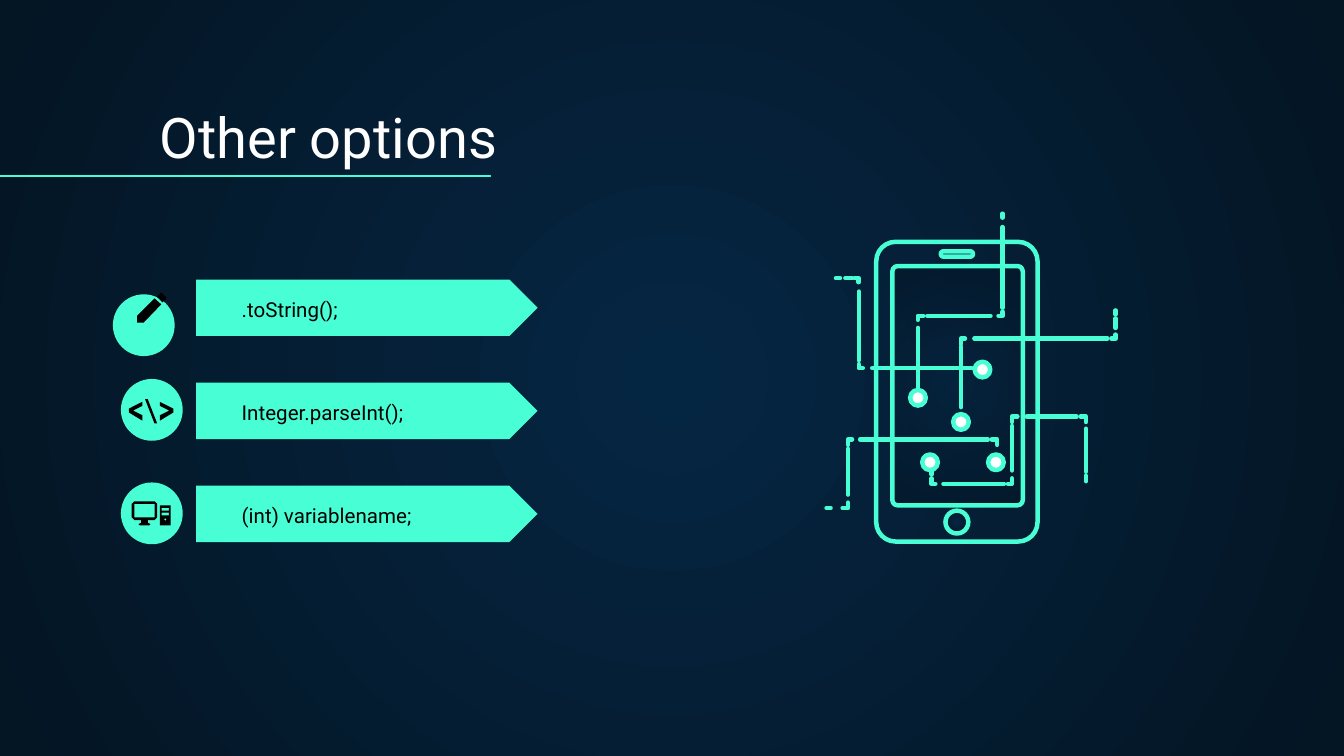
"""Build the "Other options" slide with three conversion calls and a circuit phone."""
from dataclasses import dataclass
from typing import NamedTuple

from lxml import etree
from pptx import Presentation
from pptx.dml.color import RGBColor
from pptx.enum.shapes import MSO_CONNECTOR, MSO_SHAPE
from pptx.enum.text import MSO_ANCHOR, MSO_AUTO_SIZE, PP_ALIGN
from pptx.oxml.ns import qn
from pptx.util import Emu, Inches, Pt

ARROW = MSO_SHAPE.PENTAGON
CIRCLE = MSO_SHAPE.OVAL
ROUNDED = MSO_SHAPE.ROUNDED_RECTANGLE
STRAIGHT = MSO_CONNECTOR.STRAIGHT
BOTTOM = MSO_ANCHOR.BOTTOM
FIXED = MSO_AUTO_SIZE.NONE
LEFT = PP_ALIGN.LEFT

WIDTH = Inches(10)
HEIGHT = WIDTH * 9 // 16
CELL = WIDTH / 100
ROW_STEP = 7.67
NODE_SIZE = 1.16


@dataclass(frozen=True)
class Theme:
    accent: RGBColor = RGBColor(0x48, 0xFF, 0xD5)
    glow: RGBColor = RGBColor(0x05, 0x26, 0x43)
    night: RGBColor = RGBColor(0x04, 0x15, 0x23)
    speaker: RGBColor = RGBColor(0x16, 0x12, 0x34)
    light: RGBColor = RGBColor(0xFF, 0xFF, 0xFF)
    dark: RGBColor = RGBColor(0, 0, 0)
    font: str = "Roboto"
    title_size: Pt = Pt(30)
    label_size: Pt = Pt(11)
    rule_width: Pt = Pt(0.75)
    trace_width: Pt = Pt(2.4)


THEME = Theme()


class Box(NamedTuple):
    col: float
    row: float
    cols: float
    rows: float


class Option(NamedTuple):
    call: str
    badge: Box
    icon: tuple


class Route(NamedTuple):
    node: tuple
    dashes: tuple


def rect(left: float, top: float, right: float, bottom: float) -> tuple:
    return ((left, top), (right, top), (right, bottom), (left, bottom))


PENCIL = (
    ((11.95, 21.8), (11.7, 22.1), (12.1, 22.5), (12.35, 22.25), (12.35, 22.1), (12.05, 21.8)),
    ((11.5, 22.2), (10.2, 23.5), (10.2, 24), (10.7, 24), (12, 22.65)),
)
CODE = (
    ((10.6, 31.3), (9.6, 30.7), (9.6, 30.4), (10.6, 29.9), (10.6, 30.2), (9.9, 30.55), (10.6, 30.9)),
    ((11.5, 31.5), (10.8, 29.7), (11, 29.7), (11.7, 31.5)),
    ((11.9, 31.3), (11.9, 30.9), (12.6, 30.55), (11.9, 30.2), (11.9, 29.9), (12.9, 30.4), (12.9, 30.7)),
)
COMPUTER = (
    ((10, 37.3), (11.5, 37.3), (11.7, 37.5), (11.7, 38.5), (11.5, 38.7), (11, 38.7), (11, 38.9),
     (11.2, 39), (11.1, 39.1), (10.4, 39.1), (10.3, 39), (10.5, 38.9), (10.5, 38.7), (10, 38.7),
     (9.8, 38.5), (9.8, 37.5)),
    rect(10, 37.5, 11.5, 38.5),
    rect(11.9, 37.6, 12.7, 39.1),
    rect(12.03, 37.8, 12.57, 38),
    rect(12.03, 38.15, 12.57, 38.35),
    ((12.3, 38.55), (12.4, 38.65), (12.3, 38.75), (12.2, 38.65)),
)
OPTIONS = (
    Option(".toString();", Box(8.4, 21.9, 4.6, 4.6), PENCIL),
    Option("Integer.parseInt();", Box(9, 28.2, 4.6, 4.6), CODE),
    Option("(int) variablename;", Box(9, 35.9, 4.6, 4.6), COMPUTER),
)
ROUTES = (
    Route((69.2, 34.4), (
        ((69.3, 35), (69.3, 35.3)), ((69.3, 35.6), (69.3, 36), (69.6, 36)),
        ((70.2, 36), (74.7, 36)), ((75, 36), (75.3, 36), (75.3, 35.6)),
        ((75.3, 35), (75.3, 31.7)), ((75.3, 31.4), (75.3, 31), (75.7, 31)),
        ((76.4, 31), (80.1, 31)), ((80.4, 31), (80.8, 31), (80.8, 31.4)),
        ((80.8, 31.9), (80.8, 35.1)), ((80.8, 35.4), (80.8, 35.8)))),
    Route((73.1, 27.5), (
        ((62.2, 20.7), (62.5, 20.7)), ((62.9, 20.7), (63.4, 20.7)),
        ((63.6, 20.7), (63.9, 20.7), (63.9, 21)), ((63.9, 21.7), (63.9, 26.8)),
        ((63.9, 27.1), (63.9, 27.4), (64.2, 27.4)), ((64.9, 27.4), (72.3, 27.4)),
        ((72.7, 27.4), (73, 27.4)))),
    Route((74.1, 34.4), (
        ((61.5, 37.8), (61.8, 37.8)), ((62.7, 37.8), (63.1, 37.8), (63.1, 37.4)),
        ((63.1, 36.8), (63.1, 33.4)), ((63.1, 33.1), (63.1, 32.7), (63.4, 32.7)),
        ((64, 32.7), (73.5, 32.7)), ((73.8, 32.7), (74.2, 32.7), (74.2, 33.1)),
        ((74.2, 33.9), (74.2, 34.3)))),
    Route((71.5, 31.4), (
        ((71.5, 31.2), (71.5, 30.9)), ((71.5, 30.3), (71.5, 25.8)),
        ((71.5, 25.6), (71.5, 25.2), (71.8, 25.2)), ((72.5, 25.2), (82.4, 25.2)),
        ((82.7, 25.2), (83, 25.2), (83, 24.9)), ((83, 24.4), (83, 23.7)),
        ((83, 23.4), (83, 23.1)))),
    Route((68.3, 29.6), (
        ((74.6, 15.9), (74.6, 16.2)), ((74.6, 16.9), (74.6, 22.9)),
        ((74.6, 23.2), (74.6, 23.5), (74.3, 23.5)), ((73.7, 23.5), (69, 23.5)),
        ((68.7, 23.5), (68.3, 23.5), (68.3, 23.8)), ((68.3, 24.4), (68.3, 28.9)),
        ((68.3, 29.2), (68.3, 29.5)))),
)


def grid(*cells: float) -> list:
    return [Emu(round(cell * CELL)) for cell in cells]


def radial(fill, owner, opacity: int = 100) -> None:
    fill.gradient()
    for stop, color in zip(fill.gradient_stops, (THEME.glow, THEME.night)):
        stop.color.rgb = color
    gradient = next(owner.iter(qn("a:gradFill")))
    gradient.remove(gradient.find(qn("a:lin")))
    spread = etree.SubElement(gradient, qn("a:path"))
    spread.set("path", "circle")
    center = etree.SubElement(spread, qn("a:fillToRect"))
    for side in "ltrb":
        center.set(side, "50000")
    if opacity < 100:
        for color in gradient.iter(qn("a:srgbClr")):
            etree.SubElement(color, qn("a:alpha")).set("val", str(opacity * 1000))


def paint(shape, fill=None, outlined: bool = False) -> None:
    shape.shadow.inherit = False
    if fill is None:
        shape.fill.background()
    else:
        shape.fill.solid()
        shape.fill.fore_color.rgb = fill
    if outlined:
        stroke(shape, THEME.trace_width)
    else:
        shape.line.fill.background()


def stroke(shape, width: Pt) -> None:
    shape.line.color.rgb = THEME.accent
    shape.line.width = width
    shape._element.spPr.find(qn("a:ln")).set("cap", "rnd")


def add_preset(slide, kind, box: Box, fill=None, outlined: bool = False, corner: float = 0):
    shape = slide.shapes.add_shape(kind, *grid(*box))
    if corner:
        shape.adjustments[0] = corner
    paint(shape, fill, outlined)
    return shape


def add_line(slide, start: tuple, end: tuple, width: Pt) -> None:
    line = slide.shapes.add_connector(STRAIGHT, *grid(*start, *end))
    stroke(line, width)
    etree.SubElement(line._element.spPr, qn("a:effectLst"))


def add_outline(slide, contours: tuple, closed: bool = True):
    first, *others = [[grid(*point) for point in contour] for contour in contours]
    builder = slide.shapes.build_freeform(*first[0])
    builder.add_line_segments(first[1:], close=closed)
    for contour in others:
        builder.move_to(*contour[0])
        builder.add_line_segments(contour[1:], close=closed)
    return builder.convert_to_shape()


def write(holder, text: str, size: Pt, color: RGBColor) -> None:
    frame = holder.text_frame
    frame.text = text
    frame.word_wrap = True
    frame.auto_size = FIXED
    frame.vertical_anchor = BOTTOM
    frame.margin_left = frame.margin_right = frame.margin_top = frame.margin_bottom = Inches(0.1)
    paragraph = frame.paragraphs[0]
    paragraph.alignment = LEFT
    font = paragraph.runs[0].font
    font.name, font.size, font.color.rgb = THEME.font, size, color


def add_options(slide) -> None:
    for index, option in enumerate(OPTIONS):
        offset = index * ROW_STEP
        add_preset(slide, ARROW, Box(14.6, 20.8 + offset, 25.4, 4.2), THEME.accent)
        label = slide.shapes.add_textbox(*grid(17, 22.8 + offset, 22.7, 2.1))
        write(label, option.call, THEME.label_size, THEME.dark)
        add_preset(slide, CIRCLE, option.badge, THEME.accent)
        paint(add_outline(slide, option.icon), THEME.dark)


def add_phone(slide) -> None:
    add_preset(slide, ROUNDED, Box(65.2, 18, 12, 22.3), outlined=True, corner=0.12)
    screen = add_preset(slide, ROUNDED, Box(66.4, 19.8, 9.7, 17.8), outlined=True, corner=0.04)
    radial(screen.fill, screen._element, 53)
    button = add_preset(slide, CIRCLE, Box(70.35, 38, 1.7, 1.7), outlined=True)
    radial(button.fill, button._element)
    add_preset(slide, ROUNDED, Box(70, 18.7, 2.4, 0.4), THEME.speaker, True, 0.5)


def add_route(slide, route: Route) -> None:
    for dash in route.dashes:
        if len(dash) == 2:
            add_line(slide, *dash, THEME.trace_width)
        else:
            paint(add_outline(slide, (dash,), closed=False), outlined=True)
    col, row = (center - NODE_SIZE / 2 for center in route.node)
    add_preset(slide, CIRCLE, Box(col, row, NODE_SIZE, NODE_SIZE), THEME.light, True)


def main() -> None:
    deck = Presentation()
    deck.slide_width, deck.slide_height = WIDTH, HEIGHT
    slide = deck.slides.add_slide(deck.slide_layouts[5])
    radial(slide.background.fill, slide._element)
    title = slide.shapes.title
    title.left, title.top, title.width, title.height = grid(10.9, 7, 85.7, 6.6)
    write(title, "Other options", THEME.title_size, THEME.light)
    add_line(slide, (0, 13.1), (36.5, 13.1), THEME.rule_width)
    add_options(slide)
    add_phone(slide)
    for route in ROUTES:
        add_route(slide, route)
    deck.save("out.pptx")


if __name__ == "__main__":
    main()
